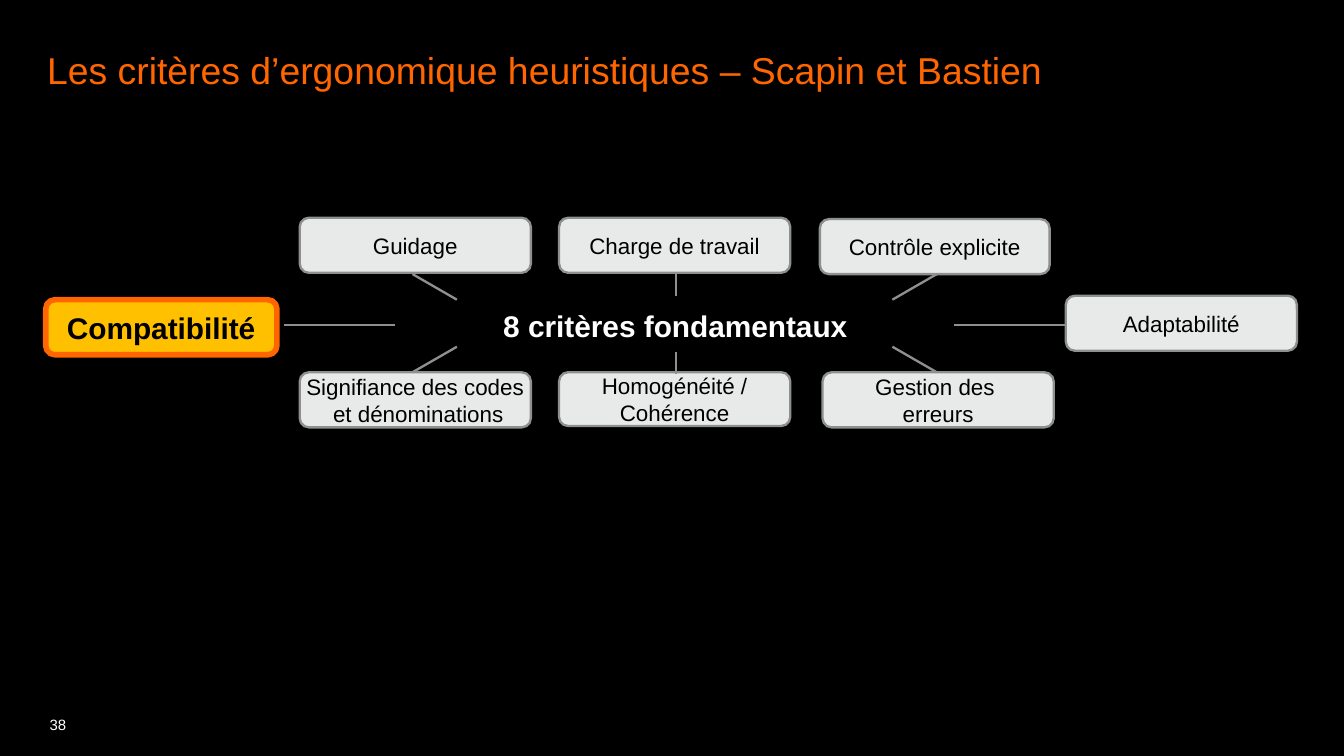
from typing import NamedTuple

from lxml.etree import SubElement
from pptx import Presentation
from pptx.dml.color import RGBColor
from pptx.enum.shapes import MSO_CONNECTOR, MSO_SHAPE
from pptx.enum.text import MSO_ANCHOR, MSO_AUTO_SIZE, PP_ALIGN
from pptx.oxml.ns import qn
from pptx.util import Inches, Pt

BLACK = RGBColor(0x00, 0x00, 0x00)
WHITE = RGBColor(0xFF, 0xFF, 0xFF)
ORANGE = RGBColor(0xFF, 0x66, 0x00)
AMBER = RGBColor(0xFF, 0xC0, 0x00)
PALE = RGBColor(0xE8, 0xE9, 0xE9)
GREY = RGBColor(0x8E, 0x90, 0x8F)

TOP, BOTTOM = 1.62, 2.77
LEFT, MIDDLE, RIGHT = 2.23, 4.16, 6.10
AXIS_X, AXIS_Y = 5.02, 2.42


class Box(NamedTuple):
    text: str
    x: float
    y: float
    w: float = 1.72
    h: float = 0.41
    fill: RGBColor = PALE
    edge: RGBColor = GREY
    weight: float = 1.25
    size: float = 12
    bold: bool = False


class Spoke(NamedTuple):
    x1: float
    y1: float
    x2: float
    y2: float


BOXES = [
    Box("Guidage", LEFT, TOP),
    Box("Charge de travail", MIDDLE, TOP),
    Box("Contrôle explicite", RIGHT, TOP + 0.01, w=1.71),
    Box("Adaptabilité", 7.93, 2.20),
    Box("Gestion des \nerreurs", RIGHT + 0.02, BOTTOM),
    Box("Homogénéité\u00a0/\nCohérence", MIDDLE, BOTTOM, h=0.40),
    Box("Signifiance des codes\n et dénominations", LEFT, BOTTOM),
    Box("Compatibilité", 0.34, 2.23, fill=AMBER, edge=ORANGE, weight=3,
        size=16, bold=True),
]

# Spokes mirror each other around the centre
SPOKES = [Spoke(5.03, 2.04, 5.03, 2.20), Spoke(5.03, 2.62, 5.03, 2.78)]
for side in (-1, 1):
    near, far = AXIS_X + side * 1.62, AXIS_X + side * 1.95
    SPOKES += [
        Spoke(far, 2.04, near, 2.23),
        Spoke(near, 2.58, far, BOTTOM),
        Spoke(AXIS_X + side * 2.08, AXIS_Y, AXIS_X + side * 2.91, AXIS_Y),
    ]


def write(shape, text: str, *, size: float, color: RGBColor, bold=False,
          align=PP_ALIGN.LEFT, anchor=MSO_ANCHOR.TOP, wrap=True,
          inset=(0.1, 0.05), spacing=1.0) -> None:
    frame = shape.text_frame
    frame.auto_size = MSO_AUTO_SIZE.NONE
    frame.word_wrap = wrap
    frame.vertical_anchor = anchor
    frame.margin_left = frame.margin_right = Inches(inset[0])
    frame.margin_top = frame.margin_bottom = Inches(inset[1])
    frame.text = text
    for para in frame.paragraphs:
        para.alignment = align
        para.line_spacing = spacing
        font = para.runs[0].font
        font.name, font.size, font.bold = "Arial", Pt(size), bold
        font.color.rgb = color


def draw_box(slide, box: Box) -> None:
    shape = slide.shapes.add_shape(
        MSO_SHAPE.FLOWCHART_ALTERNATE_PROCESS, Inches(box.x), Inches(box.y),
        Inches(box.w), Inches(box.h))
    shape.shadow.inherit = False
    shape.fill.solid()
    shape.fill.fore_color.rgb = box.fill
    shape.line.color.rgb = box.edge
    shape.line.width = Pt(box.weight)
    write(shape, box.text, size=box.size, color=BLACK, bold=box.bold,
          align=PP_ALIGN.CENTER, anchor=MSO_ANCHOR.MIDDLE, wrap=False)


def draw_spoke(slide, spoke: Spoke) -> None:
    line = slide.shapes.add_connector(
        MSO_CONNECTOR.STRAIGHT, *(Inches(value) for value in spoke))
    line.line.color.rgb = GREY
    line.line.width = Pt(1.25)
    SubElement(line._element.spPr, qn("a:effectLst"))


def add_label(slide, x: float, y: float, w: float, h: float):
    return slide.shapes.add_textbox(Inches(x), Inches(y), Inches(w), Inches(h))


# Widescreen slide, 16:9
deck = Presentation()
deck.slide_width = Inches(10)
deck.slide_height = deck.slide_width * 9 // 16
slide = deck.slides.add_slide(deck.slide_layouts[5])
slide.background.fill.solid()
slide.background.fill.fore_color.rgb = BLACK

# Title
title = slide.shapes.title
title.left, title.top = Inches(0.35), Inches(0.39)
title.width, title.height = Inches(9.31), Inches(0.53)
write(title, "Les critères d’ergonomique heuristiques – Scapin et Bastien",
      size=20, color=ORANGE, inset=(0, 0), spacing=0.9)

# Page number
write(add_label(slide, 0.37, 5.09, 0.3, 0.37), "38", size=8, color=WHITE,
      anchor=MSO_ANCHOR.BOTTOM, inset=(0, 0), spacing=0.85)

# Criteria, centre and spokes
for box in BOXES:
    draw_box(slide, box)
write(add_label(slide, 3.18, 2.24, 3.69, 0.37), "8 critères fondamentaux",
      size=16, color=WHITE, bold=True, align=PP_ALIGN.CENTER)
for spoke in SPOKES:
    draw_spoke(slide, spoke)

deck.save("out.pptx")
